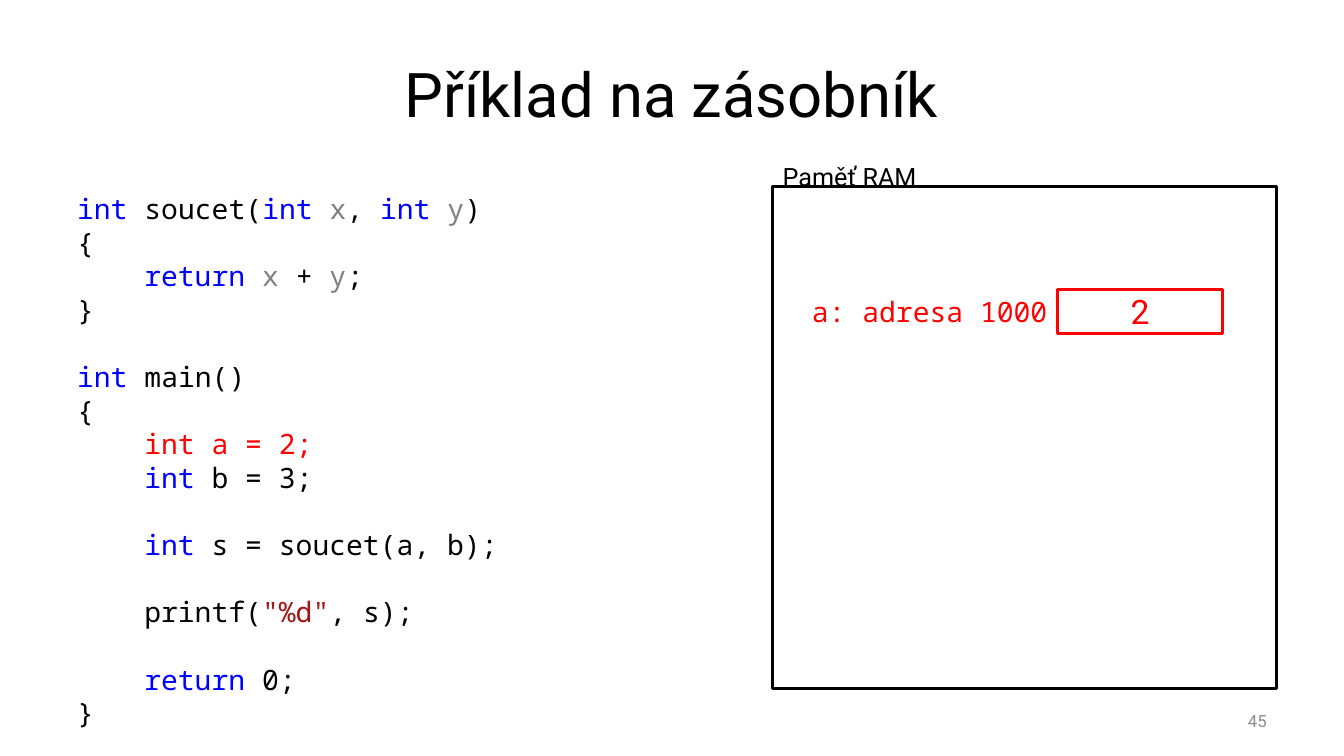
from pptx import Presentation
from pptx import util as u
from pptx.dml.color import RGBColor
from pptx.enum import shapes, text

COLORS = {
    "black": "000000", "white": "FFFFFF", "gray": "808080", "number": "8C8C8C",
    "red": "FF0000", "keyword": "0000FF", "string": "A31515",
}
SANS, MONO = "Roboto", "Noto Sans Mono"
LEFT, CENTER, RIGHT = text.PP_ALIGN.LEFT, text.PP_ALIGN.CENTER, text.PP_ALIGN.RIGHT
TOP, MIDDLE = text.MSO_ANCHOR.TOP, text.MSO_ANCHOR.MIDDLE

CODE_SIZE = 20
INDENT = u.Pt(48)   # four monospaced characters
LINE_GAP = u.Pt(24)  # one empty code line

# Each code line: indent level, empty lines before it, coloured spans
CODE = [
    (0, 0, [("int", "keyword"), (" soucet(", "black"), ("int ", "keyword"),
            ("x", "gray"), (", ", "black"), ("int ", "keyword"),
            ("y", "gray"), (")", "black")]),
    (0, 0, [("{", "black")]),
    (1, 0, [("return ", "keyword"), ("x", "gray"), (" + ", "black"),
            ("y", "gray"), (";", "black")]),
    (0, 0, [("}", "black")]),
    (0, 1, [("int ", "keyword"), ("main()", "black")]),
    (0, 0, [("{", "black")]),
    (1, 0, [("int a = 2;", "red")]),
    (1, 0, [("int", "keyword"), (" b = 3;", "black")]),
    (1, 1, [("int", "keyword"), (" s = soucet(a, b);", "black")]),
    (1, 1, [("printf(", "black"), ('"%d"', "string"), (", s);", "black")]),
    (1, 1, [("return", "keyword"), (" 0;", "black")]),
    (0, 0, [("}", "black")]),
]


def color(name):
    return RGBColor.from_string(COLORS[name])


def add_span(para, words, size, font, tint):
    span = para.add_run()
    span.text = words
    span.font.size = u.Pt(size)
    span.font.name = font
    span.font.color.rgb = color(tint)


def add_box(page, bounds, anchor=TOP):
    box = page.shapes.add_textbox(*map(u.Pt, bounds))
    box.text_frame.word_wrap = True
    box.text_frame.vertical_anchor = anchor
    return box


def add_label(page, bounds, words, size, font=SANS, tint="black",
              align=LEFT, anchor=MIDDLE):
    para = add_box(page, bounds, anchor).text_frame.paragraphs[0]
    para.alignment = align
    add_span(para, words, size, font, tint)


def add_rectangle(page, bounds, outline):
    rectangle = page.shapes.add_shape(
        shapes.MSO_SHAPE.RECTANGLE, *map(u.Pt, bounds))
    rectangle.shadow.inherit = False
    rectangle.fill.solid()
    rectangle.fill.fore_color.rgb = color("white")
    rectangle.line.color.rgb = color(outline)
    rectangle.line.width = u.Pt(2)
    return rectangle


def add_memory_cell(page, bounds, value):
    frame = add_rectangle(page, bounds, "red").text_frame
    frame.vertical_anchor = MIDDLE
    para = frame.paragraphs[0]
    para.alignment = CENTER
    add_span(para, value, 24, SANS, "red")


def add_code(page, bounds, lines):
    frame = add_box(page, bounds).text_frame
    for number, (level, gap, spans) in enumerate(lines):
        para = frame.add_paragraph() if number else frame.paragraphs[0]
        para.space_before = gap * LINE_GAP
        para._p.get_or_add_pPr().set("marL", str(level * INDENT))
        for words, tint in spans:
            add_span(para, words, CODE_SIZE, MONO, tint)


def main():
    deck = Presentation()
    deck.slide_width, deck.slide_height = u.Pt(960), u.Pt(540)
    page = deck.slides.add_slide(deck.slide_layouts[6])

    # Title and slide number
    add_label(page, (48, 21.6, 864, 90), "Příklad na zásobník", 44, align=CENTER)
    add_label(page, (688, 500.4, 224, 28.8), "45", 12, tint="number", align=RIGHT)

    # Memory
    add_rectangle(page, (552, 133.2, 360, 358.5), "black")
    add_label(page, (552, 111.6, 134, 28.8), "Paměť RAM", 18, anchor=TOP)
    add_label(page, (569.5, 206.6, 185.8, 31.7), "a: adresa 1000", 20,
              MONO, "red", RIGHT)

    # Program
    add_code(page, (48, 133.2, 480, 395.3), CODE)

    # Variable a
    add_memory_cell(page, (755.3, 206.6, 118, 31.7), "2")

    deck.save("out.pptx")


if __name__ == "__main__":
    main()
